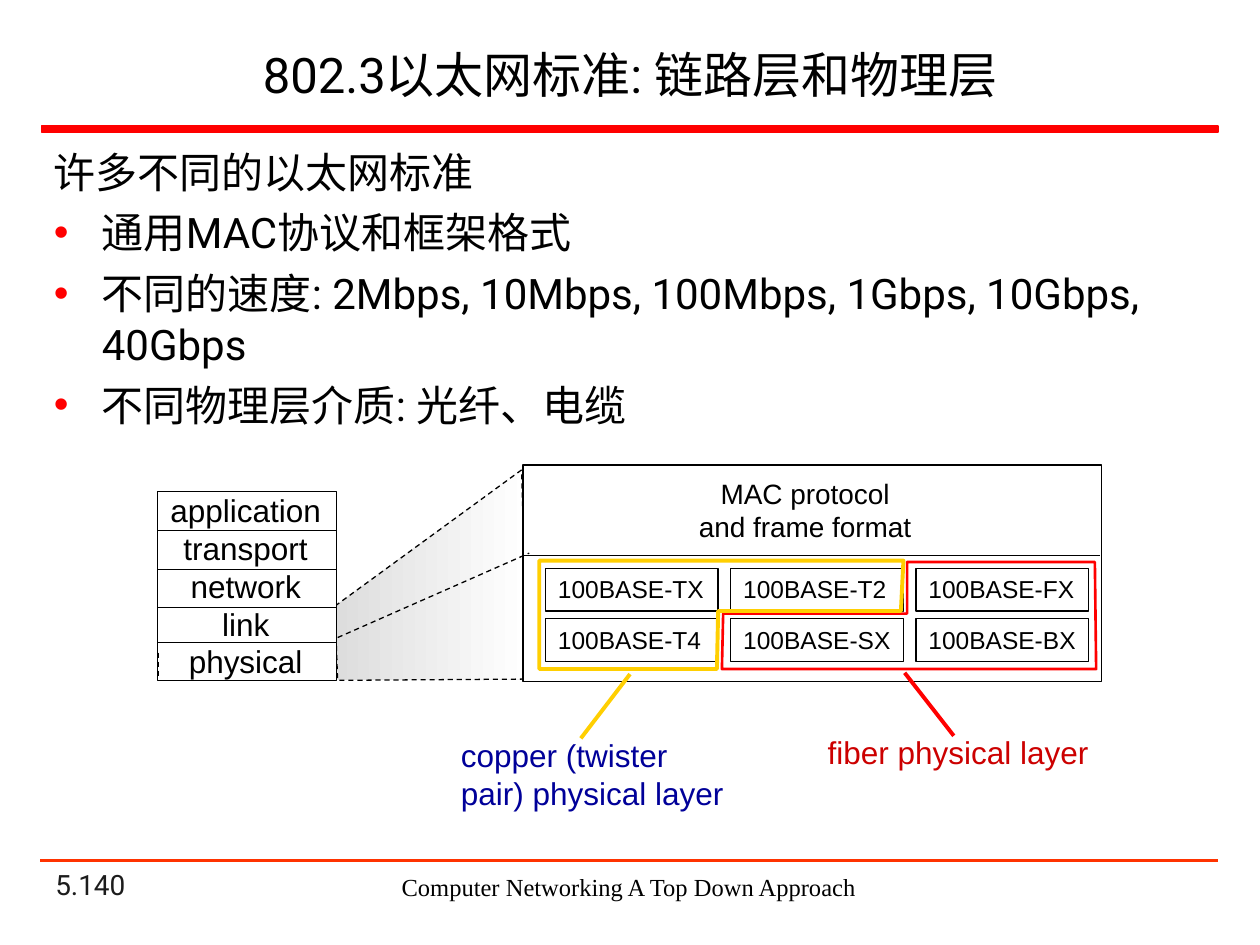
from lxml import etree
from pptx import Presentation
from pptx.dml.color import RGBColor
from pptx.enum.dml import MSO_LINE_DASH_STYLE as DASH
from pptx.enum.shapes import MSO_CONNECTOR as CONNECTOR, MSO_SHAPE as SHAPE
from pptx.enum.text import MSO_ANCHOR as ANCHOR, PP_ALIGN as ALIGN
from pptx.oxml.ns import qn
from pptx.util import Inches, Pt

COLORS = {
    "black": "000000", "white": "FFFFFF", "gray": "DDDDDD", "number": "1C1C1C",
    "red": "FF0000", "rule": "FF3300", "yellow": "FFCF01",
    "fiber": "CC0000", "copper": "000099",
}
LAYERS = ["application", "transport", "network", "link", "physical"]
STANDARDS = [
    ["100BASE-TX", "100BASE-T2", "100BASE-FX"],
    ["100BASE-T4", "100BASE-SX", "100BASE-BX"],
]
BODY_HEADING = "许多不同的以太网标准"
BODY_BULLETS = [
    "通用MAC协议和框架格式",
    "不同的速度: 2Mbps, 10Mbps, 100Mbps, 1Gbps, 10Gbps, 40Gbps",
    "不同物理层介质: 光纤、电缆",
]


def rgb(name):
    return RGBColor.from_string(COLORS[name])


def style_line(line, color, width, dashed=False):
    line.color.rgb = rgb(color)
    line.width = Pt(width)
    if dashed:
        line.dash_style = DASH.DASH


def write(shape, lines, size, font="Arial", color="black",
          align=ALIGN.LEFT, anchor=ANCHOR.TOP, wrap=False):
    frame = shape.text_frame
    frame.word_wrap = wrap
    frame.vertical_anchor = anchor
    frame.text = "\n".join(lines)
    for paragraph in frame.paragraphs:
        paragraph.alignment = align
        paragraph.font.size = Pt(size)
        paragraph.font.name = font
        paragraph.font.color.rgb = rgb(color)
    return frame


def add_text(slide, box, lines, size, **style):
    shape = slide.shapes.add_textbox(*map(Inches, box))
    return write(shape, lines, size, **style)


def add_box(slide, box, fill=None, line="black", width=0.75):
    shape = slide.shapes.add_shape(SHAPE.RECTANGLE, *map(Inches, box))
    shape.shadow.inherit = False
    if fill:
        shape.fill.solid()
        shape.fill.fore_color.rgb = rgb(fill)
    else:
        shape.fill.background()
    style_line(shape.line, line, width)
    return shape


def add_line(slide, start, end, color="black", width=0.75, dashed=False):
    connector = slide.shapes.add_connector(
        CONNECTOR.STRAIGHT, *map(Inches, start + end))
    style_line(connector.line, color, width, dashed)
    properties = connector._element.spPr
    etree.SubElement(properties, qn("a:effectLst"))


def add_outline(slide, points, color, width, dashed=False):
    points = [(Inches(x), Inches(y)) for x, y in points]
    builder = slide.shapes.build_freeform(*points[0])
    builder.add_line_segments(points[1:], close=True)
    shape = builder.convert_to_shape()
    shape.shadow.inherit = False
    shape.fill.background()
    style_line(shape.line, color, width, dashed)
    return shape


def add_bullet(paragraph):
    properties = paragraph._p.get_or_add_pPr()
    properties.set("marL", str(Inches(0.38)))
    properties.set("indent", str(-Inches(0.38)))
    color = etree.Element(qn("a:buClr"))
    etree.SubElement(color, qn("a:srgbClr"), val=COLORS["red"])
    font = etree.Element(qn("a:buFont"), typeface="Arial")
    bullet = etree.Element(qn("a:buChar"), char="•")
    # Bullet elements come after spacing and before the default font
    defaults = properties.find(qn("a:defRPr"))
    for element in (color, font, bullet):
        if defaults is None:
            properties.append(element)
        else:
            defaults.addprevious(element)


def add_frame(slide):
    # Title, rules and footer
    add_text(slide, (0.33, 0.24, 9.34, 0.7), ["802.3以太网标准: 链路层和物理层"], 28,
             font="Roboto", align=ALIGN.CENTER, anchor=ANCHOR.MIDDLE, wrap=True)
    add_box(slide, (0.33, 1, 9.34, 0.05), "red", "red", 1)
    add_line(slide, (0.32, 6.83), (9.67, 6.83), "rule", 1.5)
    add_text(slide, (0.34, 6.98, 2.08, 0.22), ["5.140"], 16, font="Roboto",
             color="number", anchor=ANCHOR.BOTTOM, wrap=True)
    add_text(slide, (2.95, 6.87, 4.08, 0.34), ["Computer Networking A Top Down Approach"],
             14, font="Times New Roman", align=ALIGN.CENTER, wrap=True)


def add_body(slide):
    frame = add_text(slide, (0.33, 1.11, 9.35, 2.38), [BODY_HEADING] + BODY_BULLETS,
                     24, font="Roboto", wrap=True)
    for paragraph in frame.paragraphs[1:]:
        paragraph.space_before = Pt(6)
        add_bullet(paragraph)


def add_stack(slide):
    # Shaded projection from the link and physical layers
    projection = add_outline(
        slide, [(4.14, 3.73), (2.66, 4.81), (2.68, 5.4), (4.19, 5.39)],
        "black", 0.75, dashed=True)
    projection.fill.gradient()
    projection.fill.gradient_angle = 0
    for stop, color, position in zip(
            projection.fill.gradient_stops, ("gray", "white"), (0, 1)):
        stop.color.rgb = rgb(color)
        stop.position = position

    # Protocol stack
    add_box(slide, (1.25, 3.9, 1.42, 1.5), "white")
    add_text(slide, (1.25, 3.85, 1.4, 1.6), LAYERS, 18, align=ALIGN.CENTER)
    for y in (4.21, 4.52, 4.82, 5.1):
        add_line(slide, (1.25, y), (2.67, y))
    add_line(slide, (1.26, 5.18), (1.26, 5.37), dashed=True)
    add_line(slide, (2.67, 5.16), (2.67, 5.35), dashed=True)


def add_standards(slide):
    add_box(slide, (4.15, 3.69, 4.59, 1.72), "white")
    add_line(slide, (4.16, 4.41), (8.73, 4.41))
    add_text(slide, (5.44, 3.73, 1.9, 0.64), ["MAC protocol", "and frame format"], 16,
             align=ALIGN.CENTER)
    add_line(slide, (2.68, 5.06), (4.2, 4.39), dashed=True)
    for row, names in enumerate(STANDARDS):
        for column, name in enumerate(names):
            box = add_box(slide, (4.33 + 1.47 * column, 4.51 + 0.4 * row, 1.37, 0.34))
            write(box, [name], 14)


def add_media(slide):
    # Fiber group
    add_outline(slide, [(7.2, 4.46), (7.2, 4.87), (5.74, 4.87), (5.73, 5.31),
                        (8.7, 5.31), (8.69, 4.46)], "red", 1.5)
    add_line(slide, (7.18, 5.34), (7.57, 5.84), "red", 2.25)
    add_text(slide, (6.47, 5.77, 2.29, 0.4), ["fiber physical layer"], 18, color="fiber")

    # Copper group
    add_outline(slide, [(7.17, 4.45), (7.15, 4.85), (5.7, 4.85), (5.69, 5.31),
                        (4.28, 5.31), (4.28, 4.45)], "yellow", 2.25)
    add_line(slide, (5, 5.35), (4.61, 5.86), "yellow", 2.25)
    add_text(slide, (3.56, 5.79, 2.31, 0.71), ["copper (twister", "pair) physical layer"],
             18, color="copper")


def main():
    presentation = Presentation()
    presentation.slide_width, presentation.slide_height = Inches(10), Inches(7.5)
    slide = presentation.slides.add_slide(presentation.slide_layouts[6])
    add_frame(slide)
    add_body(slide)
    add_stack(slide)
    add_standards(slide)
    add_media(slide)
    presentation.save("out.pptx")


if __name__ == "__main__":
    main()
